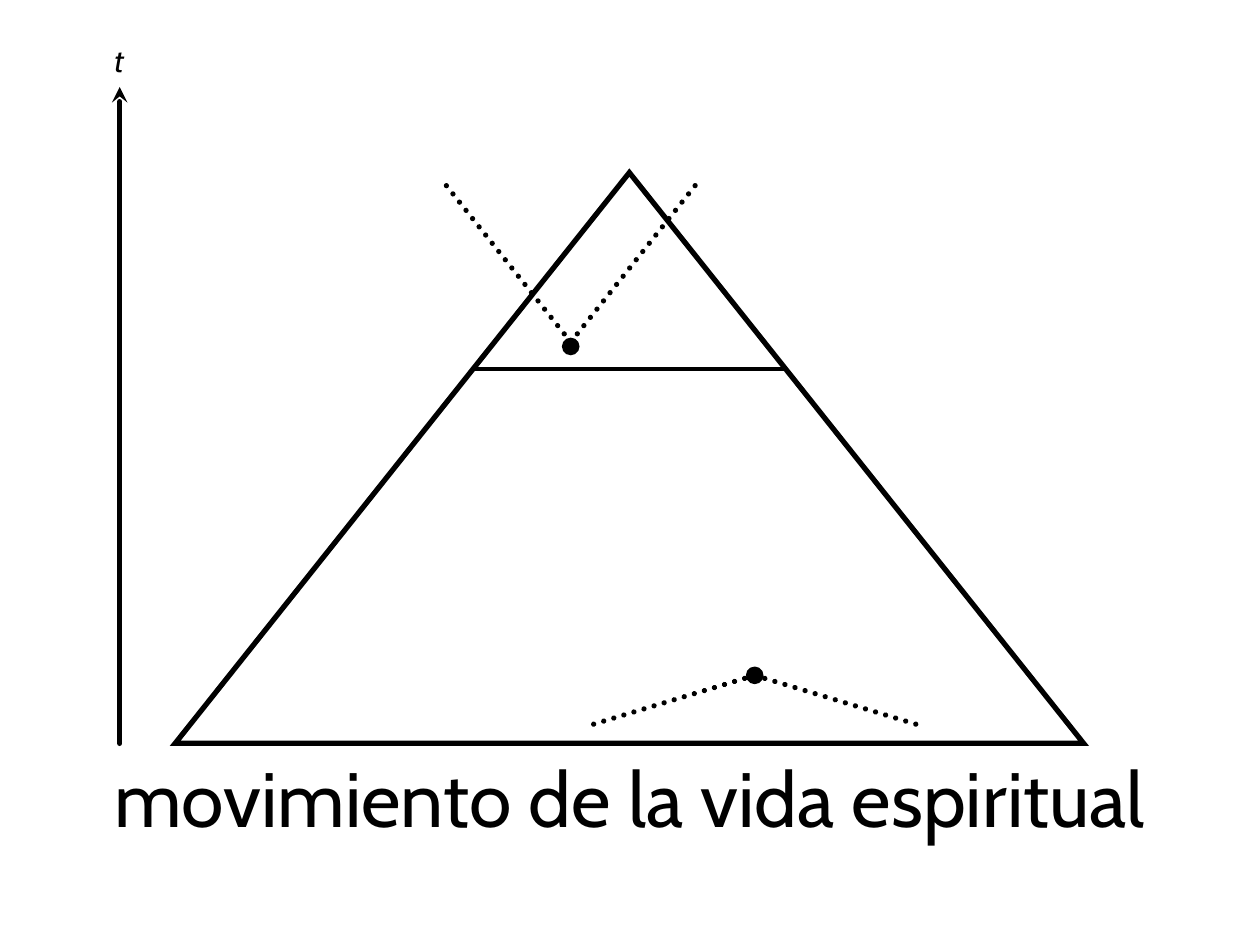
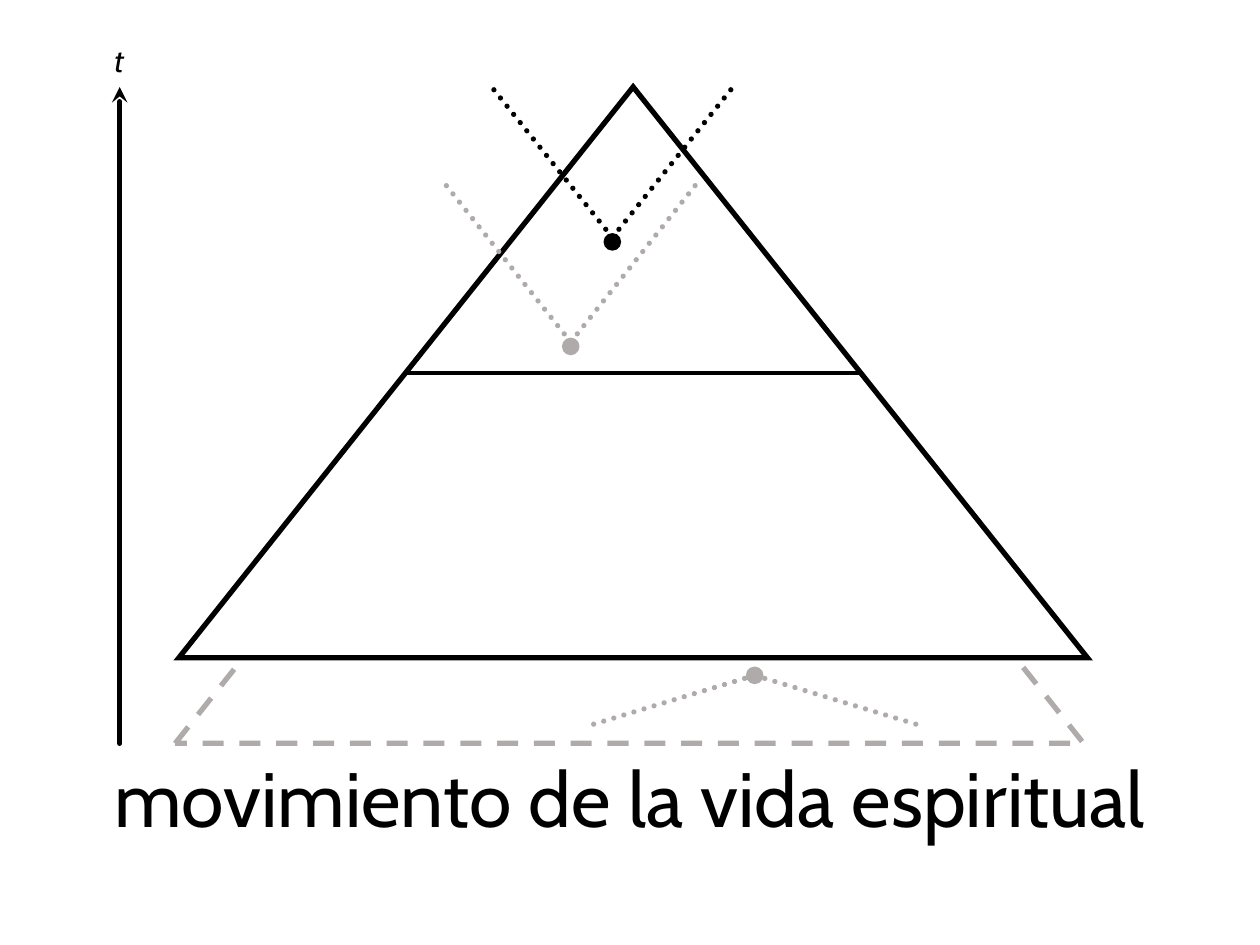
from dataclasses import dataclass

from lxml.etree import SubElement
from pptx import Presentation
from pptx.dml.color import RGBColor
from pptx.enum.dml import MSO_LINE
from pptx.enum.shapes import MSO_CONNECTOR, MSO_SHAPE
from pptx.enum.text import MSO_ANCHOR, MSO_AUTO_SIZE, PP_ALIGN
from pptx.oxml.ns import qn
from pptx.util import Inches, Pt


@dataclass(frozen=True)
class Theme:
    """Colours, type and line sizes shared by the slides."""
    ink: RGBColor = RGBColor(0, 0, 0)
    faded: RGBColor = RGBColor(0xAF, 0xAB, 0xAB)
    paper: RGBColor = RGBColor(255, 255, 255)
    font: str = "Cabin"
    title_size: int = 44
    label_size: int = 18
    heavy: int = 3
    thin: int = 2


THEME = Theme()
TITLE = "movimiento de la vida espiritual"
TITLE_BOX = (0.69, 5.14, 8.62, 1.61)
TIME_BOX = (0.81, 0.28, 0.28, 5.62)
EARLY_TRIANGLE = (1.39, 1.37, 7.21, 4.53)
LATE_TRIANGLE = (1.42, 0.69, 7.21, 4.53)
EARLY_V = (3.54, 1.47, 1.98, 1.35)
LATE_V = (3.87, 0.65, 1.98, 1.34)
LOW_ROOF = (4.67, 5.29, 2.64, 0.47)
DOT = 0.14


def style_line(line, color, width, dash=None, cap="flat", join="miter", arrow=False):
    """Set the colour, width, dash, cap, join and arrowhead of a line."""
    line.color.rgb = color
    line.width = Pt(width)
    if dash:
        line.dash_style = dash
    ln = line._ln
    ln.set("cap", cap)
    SubElement(ln, qn("a:" + join))
    if arrow:
        SubElement(ln, qn("a:tailEnd"), type="stealth")


def style_text(tf, text, size, align, **font_format):
    """Write one formatted run into a text frame."""
    p = tf.paragraphs[0]
    p.alignment = align
    r = p.add_run()
    r.text = text
    values = {"name": THEME.font, "size": Pt(size), **font_format}
    for name, value in values.items():
        setattr(r.font, name, value)
    r.font.color.rgb = THEME.ink
    return p


def add_line(shapes, start, end, color, width, **line_format):
    """Add a straight connector without a shadow."""
    points = [Inches(v) for v in (*start, *end)]
    cxn = shapes.add_connector(MSO_CONNECTOR.STRAIGHT, *points)
    style_line(cxn.line, color, width, **line_format)
    SubElement(cxn._element.spPr, qn("a:effectLst"))
    return cxn


def add_filled(shapes, kind, box, fill):
    """Add a preset shape with a plain fill and no shadow."""
    sp = shapes.add_shape(kind, *[Inches(v) for v in box])
    sp.shadow.inherit = False
    sp.fill.solid()
    sp.fill.fore_color.rgb = fill
    return sp


def add_triangle(s, box, color, dash=None):
    """Add an outlined triangle that fills its box."""
    sp = add_filled(s.shapes, MSO_SHAPE.ISOSCELES_TRIANGLE, box, THEME.paper)
    style_line(sp.line, color, THEME.heavy, dash=dash)


def add_level(s, box, drop):
    """Draw a level line between the triangle's sides, drop below its apex."""
    x, y, w, h = box
    apex, half = x + w / 2, drop * w / (2 * h)
    add_line(s.shapes, (apex - half, y + drop), (apex + half, y + drop),
             THEME.ink, THEME.thin)


def add_rays(s, box, color, upward):
    """Group a dot with two dotted rays that open upward or downward."""
    x, y, w, h = box
    shapes = s.shapes.add_group_shape().shapes
    mid = x + w / 2
    dot_top = y + h - DOT if upward else y
    start_y = dot_top + (DOT / 4 if upward else DOT / 2)
    end_y = y if upward else y + h
    dot = add_filled(shapes, MSO_SHAPE.OVAL, (mid - DOT / 2, dot_top, DOT, DOT), color)
    dot.line.fill.background()
    for end_x in (x, x + w):
        add_line(shapes, (mid, start_y), (end_x, end_y), color, THEME.heavy,
                 dash=MSO_LINE.ROUND_DOT, cap="rnd", join="round")


def add_time_axis(s, box):
    """Draw the upward time arrow with its label on top."""
    x, y, w, h = box
    mid = x + w / 2
    add_line(s.shapes, (mid, y + h), (mid, y + 0.41), THEME.ink, THEME.heavy,
             cap="rnd", join="round", arrow=True)
    label = s.shapes.add_textbox(*[Inches(v) for v in (x, y, w, 0.4)])
    tf = label.text_frame
    tf.word_wrap = False
    tf.auto_size = MSO_AUTO_SIZE.SHAPE_TO_FIT_TEXT
    style_text(tf, "t", THEME.label_size, PP_ALIGN.LEFT, italic=True)


def add_title(s, box):
    """Move the title placeholder into its box and fill it."""
    sp = s.shapes.title
    for name, value in zip(("left", "top", "width", "height"), box):
        setattr(sp, name, Inches(value))
    tf = sp.text_frame
    frame_format = {"word_wrap": True, "auto_size": MSO_AUTO_SIZE.NONE,
                    "vertical_anchor": MSO_ANCHOR.BOTTOM}
    for name, value in frame_format.items():
        setattr(tf, name, value)
    p = style_text(tf, TITLE, THEME.title_size, PP_ALIGN.CENTER)
    p.line_spacing = 0.9


def new_slide(prs):
    """Add a slide with the shared title and time axis."""
    s = prs.slides.add_slide(prs.slide_layouts[5])
    add_title(s, TITLE_BOX)
    add_time_axis(s, TIME_BOX)
    return s


def build_early(prs):
    """Build the slide with the triangle in its first position."""
    s = new_slide(prs)
    add_triangle(s, EARLY_TRIANGLE, THEME.ink)
    add_rays(s, EARLY_V, THEME.ink, upward=True)
    add_rays(s, LOW_ROOF, THEME.ink, upward=False)
    add_level(s, EARLY_TRIANGLE, 1.56)


def build_late(prs):
    """Build the slide with the risen triangle over its faded past."""
    s = new_slide(prs)
    add_triangle(s, EARLY_TRIANGLE, THEME.faded, dash=MSO_LINE.DASH)
    add_rays(s, LOW_ROOF, THEME.faded, upward=False)
    add_triangle(s, LATE_TRIANGLE, THEME.ink)
    add_rays(s, EARLY_V, THEME.faded, upward=True)
    add_level(s, LATE_TRIANGLE, 2.27)
    add_rays(s, LATE_V, THEME.ink, upward=True)


def main():
    """Build and save the presentation."""
    prs = Presentation()
    prs.slide_width, prs.slide_height = Inches(10), Inches(7.5)
    build_early(prs)
    build_late(prs)
    prs.save("out.pptx")


if __name__ == "__main__":
    main()
